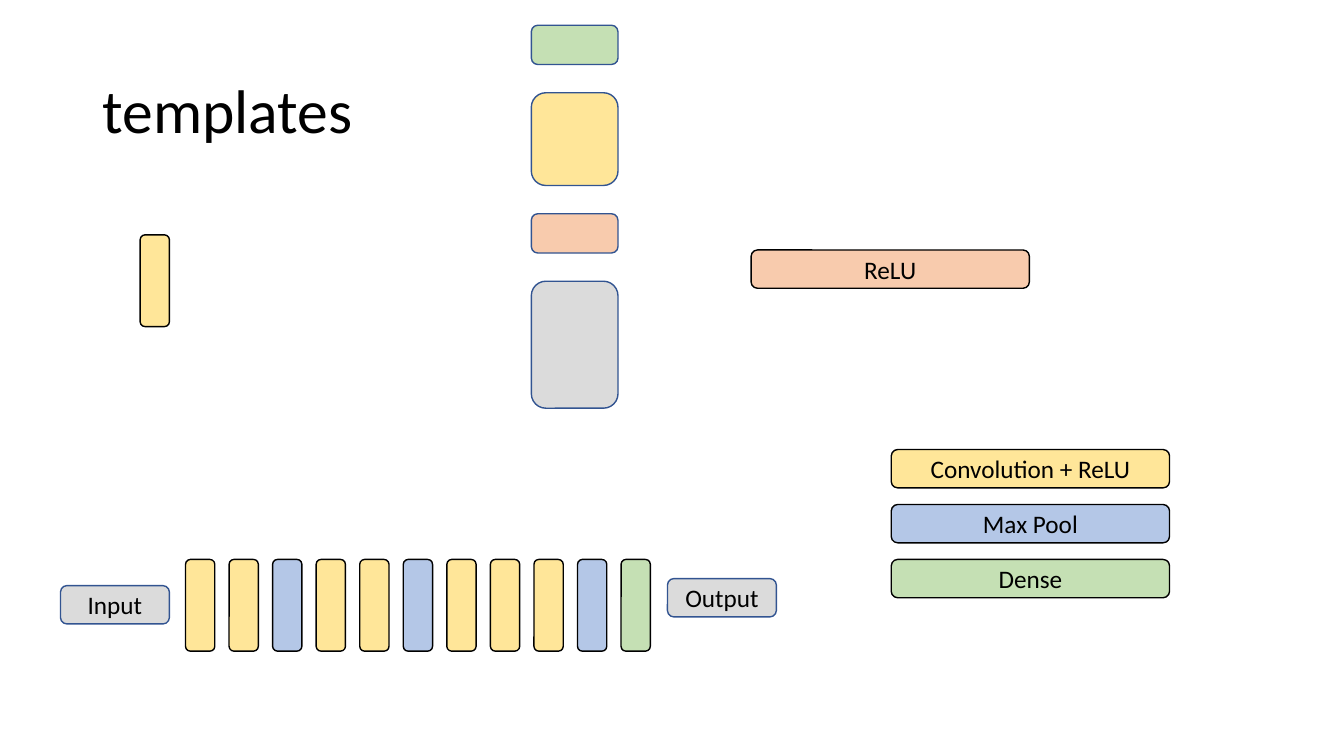
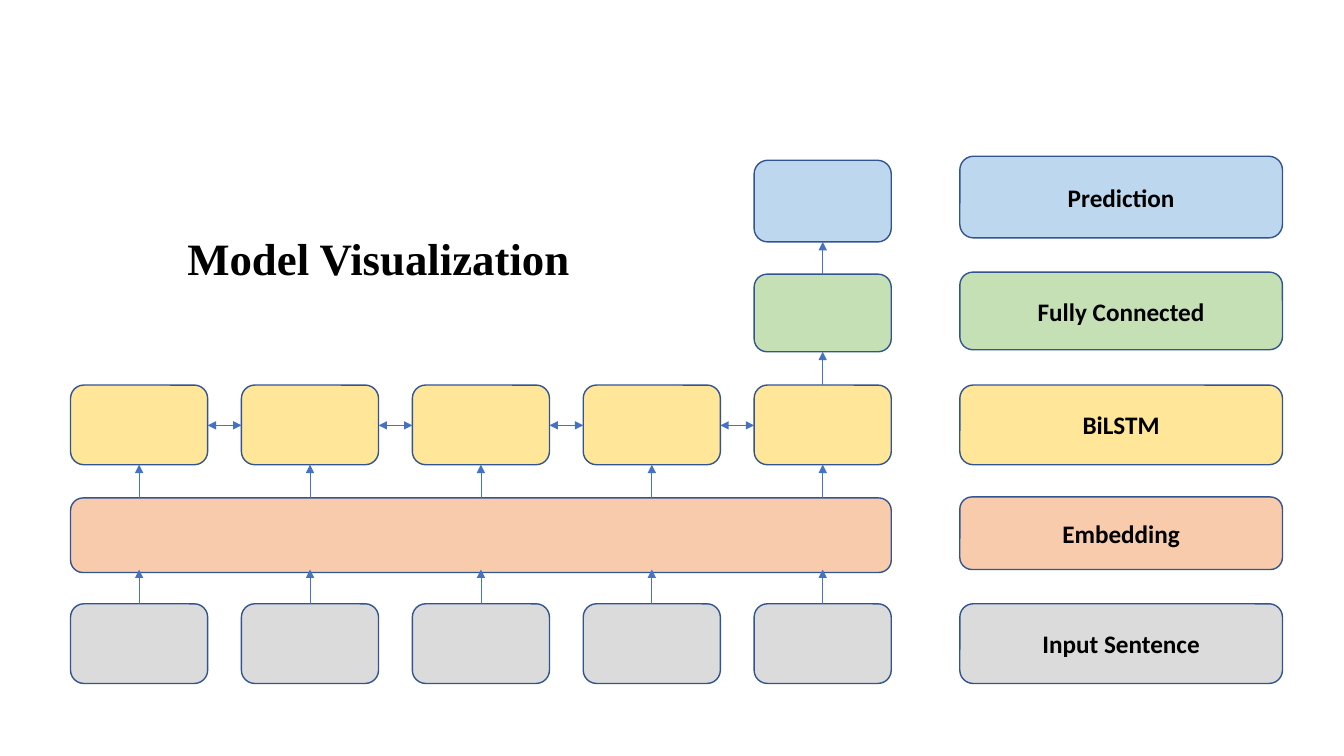
from lxml import etree
from pptx import Presentation
from pptx.dml.color import RGBColor
from pptx.enum import shapes, text as text_enum
from pptx.oxml import ns
from pptx.util import Inches, Pt

COLORS = {
    "black": "000000",
    "outline": "325491",
    "arrow": "4472C4",
    "yellow": "FFE699",
    "periwinkle": "B4C7E7",
    "sky": "BDD7EE",
    "green": "C5E0B4",
    "orange": "F8CBAD",
    "gray": "DBDBDB",
}


def rgb(name):
    return RGBColor.from_string(COLORS[name])


def write_text(shape, content, size=18, font="Calibri", bold=False,
               align=text_enum.PP_ALIGN.CENTER,
               anchor=text_enum.MSO_ANCHOR.MIDDLE, spacing=1.0):
    frame = shape.text_frame
    frame.word_wrap = True
    frame.vertical_anchor = anchor
    paragraph = frame.paragraphs[0]
    paragraph.alignment = align
    paragraph.line_spacing = spacing
    run = paragraph.add_run()
    run.text = content
    run.font.size = Pt(size)
    run.font.name = font
    run.font.bold = bold
    run.font.color.rgb = rgb("black")


class Deck:
    """Holds the shared style and the slide being drawn."""

    def __init__(self):
        self.presentation = Presentation()
        self.presentation.slide_width = Inches(13.33)
        self.presentation.slide_height = Inches(7.5)
        self.slide = None

    def new_slide(self):
        layout = self.presentation.slide_layouts[6]
        self.slide = self.presentation.slides.add_slide(layout)

    def box(self, left, top, width, height, fill, content="",
            outline="outline", **text_format):
        shape = self.slide.shapes.add_shape(
            shapes.MSO_SHAPE.ROUNDED_RECTANGLE,
            Inches(left), Inches(top), Inches(width), Inches(height))
        shape.shadow.inherit = False
        shape.fill.solid()
        shape.fill.fore_color.rgb = rgb(fill)
        shape.line.color.rgb = rgb(outline)
        shape.line.width = Pt(1)
        if content:
            write_text(shape, content, **text_format)

    def label(self, left, top, width, height, content, **text_format):
        shape = self.slide.shapes.add_textbox(
            Inches(left), Inches(top), Inches(width), Inches(height))
        write_text(shape, content, **text_format)

    def arrow(self, start, end, both_ways=False):
        connector = self.slide.shapes.add_connector(
            shapes.MSO_CONNECTOR.STRAIGHT,
            *(Inches(value) for value in (*start, *end)))
        connector.line.color.rgb = rgb("arrow")
        connector.line.width = Pt(0.5)
        line = connector.line._get_or_add_ln()
        for tag in ("a:headEnd", "a:tailEnd") if both_ways else ("a:tailEnd",):
            etree.SubElement(line, ns.qn(tag)).set("type", "triangle")
        properties = connector._element.spPr
        etree.SubElement(properties, ns.qn("a:effectLst"))


def draw_templates(deck):
    deck.new_slide()
    deck.label(0.92, 0.4, 11.5, 1.45, "templates", size=44,
               align=text_enum.PP_ALIGN.LEFT, spacing=0.9)

    # Network: one narrow bar per layer
    bar_width, bar_height, bar_top, bar_pitch = 0.29, 0.91, 5.55, 0.432
    conv, pool, dense = "yellow", "periwinkle", "green"
    layers = [conv, conv, pool, conv, conv, pool, conv, conv, conv, pool, dense]
    for index, fill in enumerate(layers):
        deck.box(1.84 + index * bar_pitch, bar_top, bar_width, bar_height,
                 fill, outline="black")
    deck.box(1.39, 2.33, bar_width, bar_height, conv, outline="black")
    for left, top, content in ((0.6, 5.81, "Input"), (6.62, 5.74, "Output")):
        deck.box(left, top, 1.08, 0.38, "gray", content)

    # Legend
    legend_width, legend_height = 2.76, 0.38
    legend = [("Convolution + ReLU", conv), ("Max Pool", pool), ("Dense", dense)]
    for index, (content, fill) in enumerate(legend):
        deck.box(8.84, 4.46 + index * 0.545, legend_width, legend_height,
                 fill, content, outline="black")
    deck.box(7.45, 2.48, legend_width, legend_height, "orange", "ReLU",
             outline="black")

    # Blank blocks, stacked with equal gaps
    top, gap = 0.25, 0.28
    for fill, height in (("green", 0.39), ("yellow", 0.92),
                         ("orange", 0.39), ("gray", 1.26)):
        deck.box(5.27, top, 0.86, height, fill)
        top += height + gap


def draw_model(deck):
    deck.new_slide()
    cell_width, pitch, steps = 1.36, 1.695, 5
    lefts = [0.7 + index * pitch for index in range(steps)]
    centers = [left + cell_width / 2 for left in lefts]
    full_width = lefts[-1] + cell_width - lefts[0]
    input_top, embedding_top, lstm_top = 5.99, 4.94, 3.82
    dense_top, prediction_top = 2.72, 1.59
    cell_height, dense_height, prediction_height = 0.79, 0.77, 0.81
    lstm_bottom = lstm_top + cell_height

    for left in lefts:
        deck.box(left, input_top, cell_width, cell_height, "gray")
        deck.box(left, lstm_top, cell_width, cell_height, "yellow")
    deck.box(lefts[0], embedding_top, full_width, 0.74, "orange")
    deck.box(lefts[-1], dense_top, cell_width, dense_height, "green")
    deck.box(lefts[-1], prediction_top, cell_width, prediction_height, "sky")

    for center in centers:
        deck.arrow((center, input_top), (center, 5.65))
        deck.arrow((center, embedding_top), (center, lstm_bottom))
    for left, following in zip(lefts, lefts[1:]):
        deck.arrow((left + cell_width, 4.22), (following, 4.22), both_ways=True)
    last = centers[-1]
    deck.arrow((last, lstm_top), (last, dense_top + dense_height))
    deck.arrow((last, dense_top), (last, prediction_top + prediction_height))

    for content, fill, top, height in (
            ("Input Sentence", "gray", input_top, cell_height),
            ("Embedding", "orange", 4.93, 0.72),
            ("BiLSTM", "yellow", lstm_top, cell_height),
            ("Fully Connected", "green", 2.7, dense_height),
            ("Prediction", "sky", 1.55, prediction_height)):
        deck.box(9.52, top, 3.2, height, fill, content, bold=True)
    deck.label(1.21, 2.24, 5.09, 0.64, "Model Visualization", size=32,
               font="Times New Roman", bold=True,
               anchor=text_enum.MSO_ANCHOR.TOP)


def main():
    deck = Deck()
    draw_templates(deck)
    draw_model(deck)
    deck.presentation.save("out.pptx")


if __name__ == "__main__":
    main()
